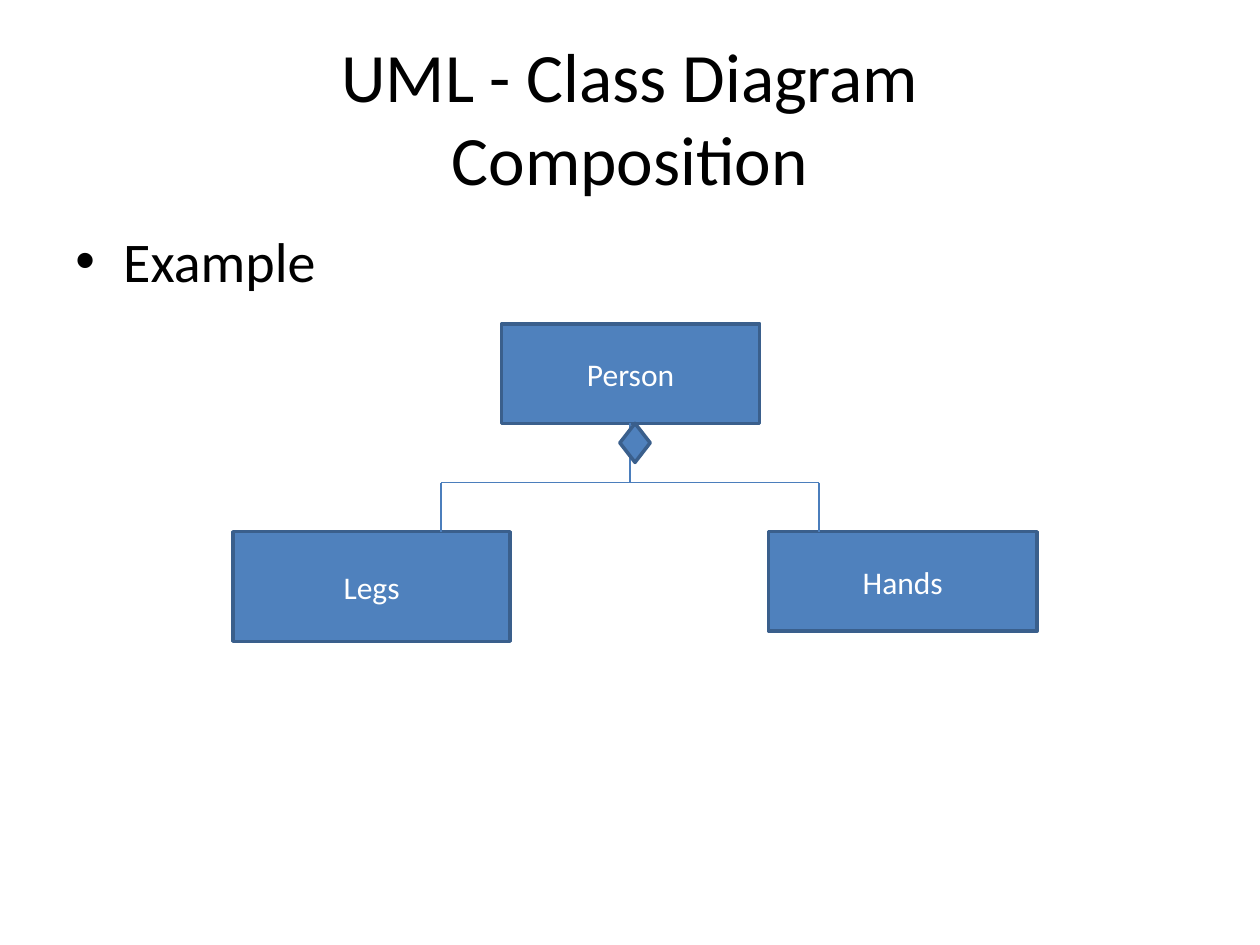
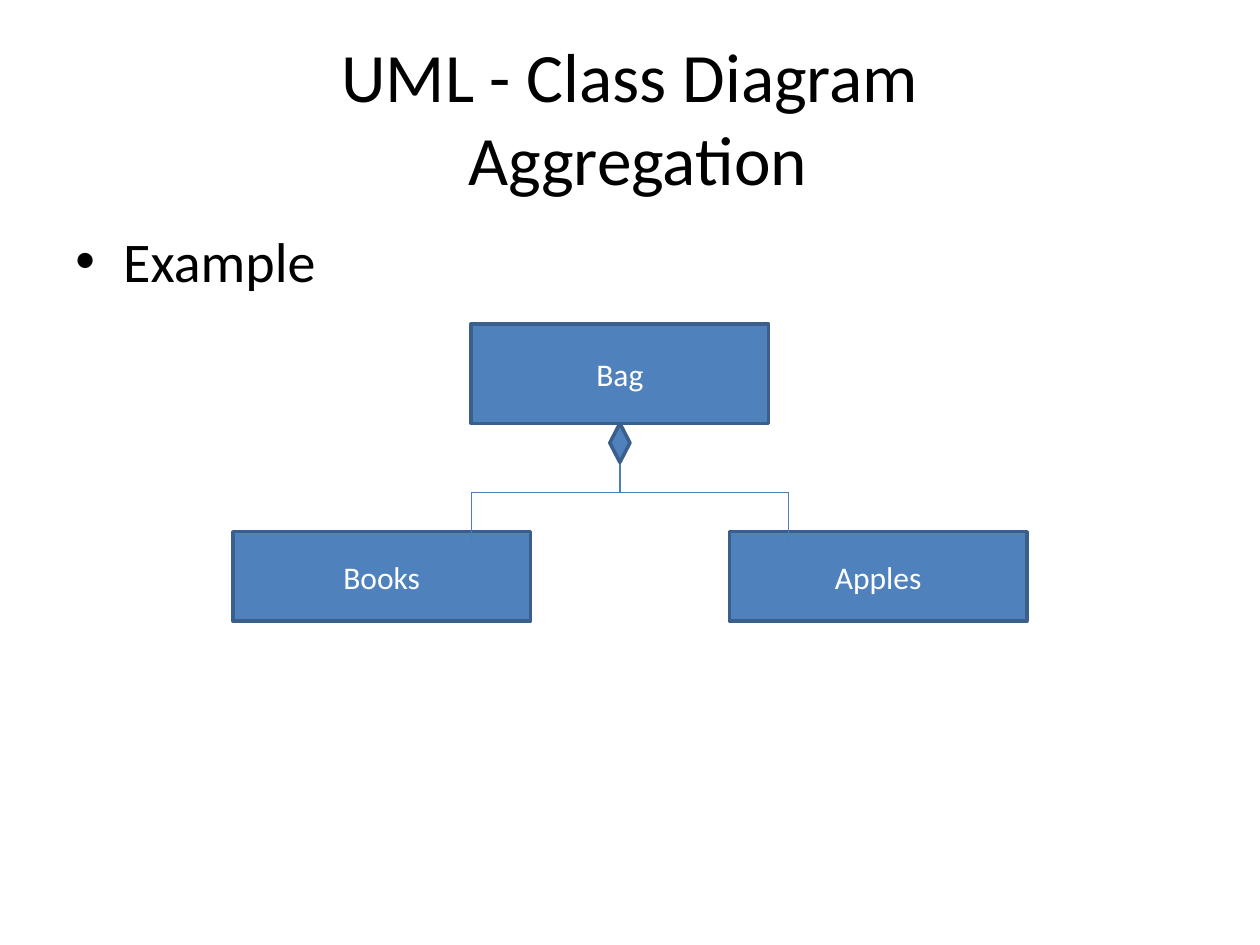
from lxml import etree
from pptx import Presentation
from pptx.dml.color import RGBColor
from pptx.enum.shapes import MSO_CONNECTOR as Connector, MSO_SHAPE as Shape
from pptx.enum.text import MSO_ANCHOR as Anchor, PP_ALIGN as Align
from pptx.oxml.ns import qn
from pptx.util import Inches, Pt

CENTER_TOP = 2.57
OWNER_HEIGHT = 0.79
PART_TOP = 4.22
DIAMOND_HEIGHT = 0.31


def color(hex_string):
    return RGBColor.from_string(hex_string)


class ClassDiagramDeck:
    FONT = "Calibri"
    TEXT = "000000"
    BOX_TEXT = "FFFFFF"
    BOX_FILL = "4F81BD"
    BOX_LINE = "3A5F8C"
    LINK = "4B7EBC"

    def __init__(self):
        self.deck = Presentation()
        self.deck.slide_width, self.deck.slide_height = Inches(10), Inches(7.5)
        self.slide = None

    def new_slide(self):
        self.slide = self.deck.slides.add_slide(self.deck.slide_layouts[6])

    def style(self, paragraph, size, hex_string, align):
        paragraph.alignment = align
        paragraph.font.name = self.FONT
        paragraph.font.size = Pt(size)
        paragraph.font.color.rgb = color(hex_string)

    def text_frame(self, left, top, width, height, anchor):
        box = self.slide.shapes.add_textbox(
            Inches(left), Inches(top), Inches(width), Inches(height))
        frame = box.text_frame
        frame.word_wrap = True
        frame.vertical_anchor = anchor
        return frame

    def title(self, first_line, second_line):
        frame = self.text_frame(0.5, 0.3, 9, 1.25, Anchor.MIDDLE)
        heading = frame.paragraphs[0]
        heading.add_run().text = first_line
        heading.add_line_break()
        heading.add_run().text = second_line
        self.style(heading, 39.6, self.TEXT, Align.CENTER)

    def bullet(self, text):
        frame = self.text_frame(0.5, 1.75, 9, 4.95, Anchor.TOP)
        item = frame.paragraphs[0]
        item.text = text
        self.style(item, 32, self.TEXT, Align.LEFT)
        properties = item._p.get_or_add_pPr()
        properties.set("marL", str(Inches(0.38)))
        properties.set("indent", str(-Inches(0.38)))
        marker_font = etree.Element(qn("a:buFont"), typeface="Arial")
        marker = etree.Element(qn("a:buChar"), char="•")
        properties.insert(0, marker_font)
        properties.insert(1, marker)

    def block(self, kind, left, top, width, height):
        block = self.slide.shapes.add_shape(
            kind, Inches(left), Inches(top), Inches(width), Inches(height))
        block.shadow.inherit = False
        block.fill.solid()
        block.fill.fore_color.rgb = color(self.BOX_FILL)
        block.line.color.rgb = color(self.BOX_LINE)
        block.line.width = Pt(2)
        return block

    def class_box(self, name, left, top, width, height):
        frame = self.block(Shape.RECTANGLE, left, top, width, height).text_frame
        frame.word_wrap = True
        frame.vertical_anchor = Anchor.MIDDLE
        frame.text = name
        self.style(frame.paragraphs[0], 18, self.BOX_TEXT, Align.CENTER)

    def link(self, x1, y1, x2, y2):
        link = self.slide.shapes.add_connector(
            Connector.STRAIGHT, Inches(x1), Inches(y1), Inches(x2), Inches(y2))
        link.line.color.rgb = color(self.LINK)
        link.line.width = Pt(0.75)
        etree.SubElement(link._element.spPr, qn("a:effectLst"))

    def tree(self, trunk_x, fork_y, branch_xs, branch_end):
        """Run a trunk down from the owner and branch it to each part."""
        self.link(trunk_x, CENTER_TOP + OWNER_HEIGHT, trunk_x, fork_y)
        for branch_x in branch_xs:
            self.link(trunk_x, fork_y, branch_x, fork_y)
            self.link(branch_x, fork_y, branch_x, branch_end)

    def diamond(self, left, width):
        self.block(Shape.FLOWCHART_DECISION, left, CENTER_TOP + OWNER_HEIGHT,
                   width, DIAMOND_HEIGHT)

    def relation_slide(self, relation, owner, parts, tree, diamond):
        """Owner is (name, left, width); each part also ends with a height."""
        self.new_slide()
        self.title("UML - Class Diagram", relation)
        self.bullet("Example")
        name, left, width = owner
        self.class_box(name, left, CENTER_TOP, width, OWNER_HEIGHT)
        for name, left, width, height in parts:
            self.class_box(name, left, PART_TOP, width, height)
        self.tree(*tree)
        self.diamond(*diamond)


def main():
    diagrams = ClassDiagramDeck()
    diagrams.relation_slide(
        "Composition",
        owner=("Person", 3.98, 2.05),
        parts=[("Legs", 1.85, 2.2, 0.87), ("Hands", 6.1, 2.13, 0.79)],
        tree=(5, 3.83, (3.5, 6.5), 4.22),
        diamond=(4.92, 0.24))
    diagrams.relation_slide(
        " Aggregation",
        owner=("Bag", 3.74, 2.36),
        parts=[("Books", 1.85, 2.36, 0.71), ("Apples", 5.79, 2.36, 0.71)],
        tree=(4.92, 3.91, (3.74, 6.26), 4.3),
        diamond=(4.84, 0.16))
    diagrams.deck.save("out.pptx")


if __name__ == "__main__":
    main()
